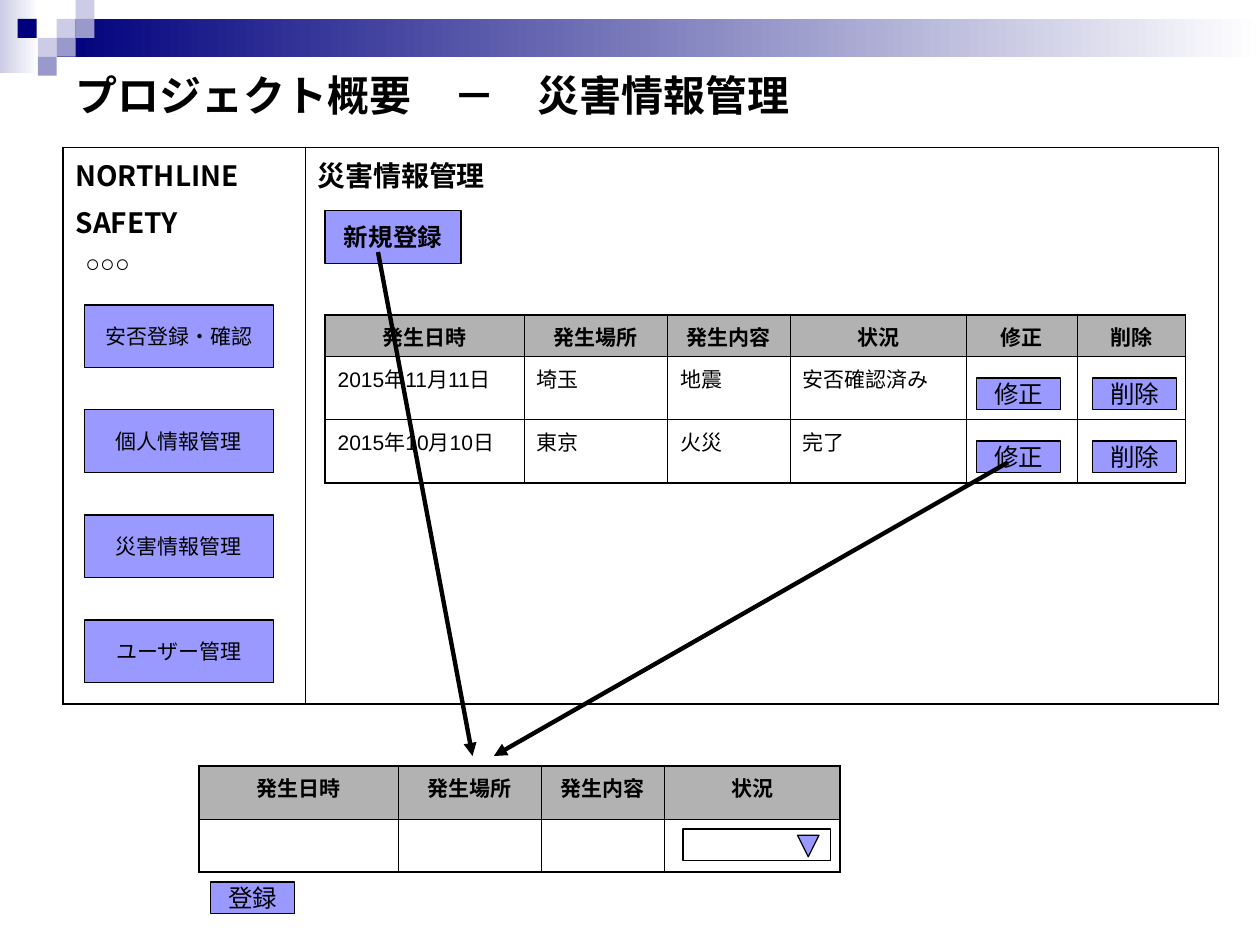
from typing import NamedTuple

from lxml import etree
from pptx import Presentation
from pptx.dml.color import RGBColor
from pptx.enum.shapes import MSO_CONNECTOR, MSO_SHAPE
from pptx.enum.text import MSO_ANCHOR, PP_ALIGN
from pptx.oxml.ns import qn
from pptx.util import Inches, Pt

RECT, MERGE = MSO_SHAPE.RECTANGLE, MSO_SHAPE.FLOWCHART_MERGE
STRAIGHT = MSO_CONNECTOR.STRAIGHT
LEFT, CENTER = PP_ALIGN.LEFT, PP_ALIGN.CENTER
TOP, MIDDLE = MSO_ANCHOR.TOP, MSO_ANCHOR.MIDDLE

BLACK, WHITE, GRAY = "000000", "FFFFFF", "B2B2B2"
BUTTON_FILL, NAVY, LILAC, MAUVE = "9999FF", "00007D", "CCCCE6", "9999CC"
LATIN, JAPANESE = "Arial", "Noto Sans CJK JP"
OUTER, INNER = 1.08, 0.45


class Box(NamedTuple):
    left: float
    top: float
    width: float
    height: float

    def lengths(self):
        return [Inches(value) for value in self]


class Button(NamedTuple):
    label: str
    box: Box
    size: int = 14
    bold: bool = False


class Arrow(NamedTuple):
    start: tuple[float, float]
    end: tuple[float, float]


def rgb(color: str) -> RGBColor:
    return RGBColor.from_string(color)


def write(frame, text: str, *, size: int, bold=False, align=LEFT, anchor=TOP,
          before: float = 0, font=LATIN, wrap=True) -> None:
    frame.word_wrap = wrap
    frame.vertical_anchor = anchor
    for number, line in enumerate(text.split("\n")):
        paragraph = frame.add_paragraph() if number else frame.paragraphs[0]
        paragraph.alignment = align
        paragraph.space_before = Pt(before)
        run = paragraph.add_run()
        run.text = line
        run.font.size, run.font.bold, run.font.name = Pt(size), bold, font
        run.font.color.rgb = rgb(BLACK)
        east_asian = etree.SubElement(run.font._element, qn("a:ea"))
        east_asian.set("typeface", JAPANESE)


def add_text(slide, text: str, box: Box, **text_format) -> None:
    write(slide.shapes.add_textbox(*box.lengths()).text_frame, text, **text_format)


def add_block(slide, box: Box, fill: str, *, kind=RECT, outlined=True):
    block = slide.shapes.add_shape(kind, *box.lengths())
    block.shadow.inherit = False
    block.fill.solid()
    block.fill.fore_color.rgb = rgb(fill)
    if outlined:
        block.line.color.rgb = rgb(BLACK)
        block.line.width = Pt(0.75)
    else:
        block.line.fill.background()
    return block


def add_gradient(slide, box: Box, color: str) -> None:
    block = add_block(slide, box, color, outlined=False)
    block.fill.gradient()
    block.fill.gradient_angle = 180
    for stop, stop_color in zip(block.fill.gradient_stops, (WHITE, color)):
        stop.color.rgb = rgb(stop_color)


def add_button(slide, button: Button) -> None:
    block = add_block(slide, button.box, BUTTON_FILL)
    write(block.text_frame, button.label, size=button.size, bold=button.bold,
          align=CENTER, anchor=MIDDLE, wrap=False)


def set_borders(cell, widths: dict[str, float]) -> None:
    properties = cell._tc.get_or_add_tcPr()
    for position, (side, width) in enumerate(widths.items()):
        border = etree.Element(qn(f"a:ln{side}"), w=str(Pt(width)))
        fill = etree.SubElement(border, qn("a:solidFill"))
        etree.SubElement(fill, qn("a:srgbClr"), val=BLACK)
        properties.insert(position, border)


def add_grid(slide, left: float, top: float, columns: list[float],
             heights: list[float]):
    """Add an unstyled table with a heavier outer border."""
    box = Box(left, top, sum(columns), sum(heights))
    table = slide.shapes.add_table(len(heights), len(columns), *box.lengths()).table
    table.first_row = table.horz_banding = False
    for column, width in zip(table.columns, columns):
        column.width = Inches(width)
    last_row, last_column = len(heights) - 1, len(columns) - 1
    for r, height in enumerate(heights):
        table.rows[r].height = Inches(height)
        for c in range(len(columns)):
            cell = table.cell(r, c)
            cell.fill.background()
            set_borders(cell, {
                "L": INNER if c else OUTER,
                "R": OUTER if c == last_column else INNER,
                "T": INNER if r else OUTER,
                "B": OUTER if r == last_row else INNER,
            })
    return table


def add_records(slide, left: float, top: float, columns: list[float],
                heights: list[float], rows: list[list[str]]) -> None:
    table = add_grid(slide, left, top, columns, heights)
    for r, row in enumerate(rows):
        for c, text in enumerate(row):
            cell = table.cell(r, c)
            cell.fill.solid()
            cell.fill.fore_color.rgb = rgb(WHITE if r else GRAY)
            if text:
                write(cell.text_frame, text, size=12, bold=r == 0, before=3,
                      align=LEFT if r else CENTER)


def add_arrow(slide, arrow: Arrow) -> None:
    ends = [Inches(value) for value in (*arrow.start, *arrow.end)]
    line = slide.shapes.add_connector(STRAIGHT, *ends)
    line.line.color.rgb = rgb(BLACK)
    line.line.width = Pt(2.5)
    etree.SubElement(line.line._get_or_add_ln(), qn("a:tailEnd"), type="triangle")
    etree.SubElement(line._element.spPr, qn("a:effectLst"))


def main() -> None:
    presentation = Presentation()
    presentation.slide_width, presentation.slide_height = Inches(10), Inches(7.5)
    slide = presentation.slides.add_slide(presentation.slide_layouts[6])

    # Header band and its mosaic of squares
    add_gradient(slide, Box(0, 0, 0.31, 0.58), LILAC)
    add_gradient(slide, Box(0.45, 0.15, 9.55, 0.3), NAVY)
    mosaic = [(0.45, 0.15, LILAC), (0.6, 0, LILAC), (0.6, 0.15, MAUVE),
              (0.3, 0.3, LILAC), (0.14, 0.15, NAVY), (0.45, 0.3, MAUVE),
              (0.3, 0.45, MAUVE)]
    for left, top, color in mosaic:
        add_block(slide, Box(left, top, 0.15, 0.15), color, outlined=False)

    add_text(slide, "プロジェクト概要　－　災害情報管理", Box(0.5, 0.5, 9, 0.5),
             size=24, bold=True, anchor=MIDDLE)

    # Application window: menu on the left, content on the right
    window = add_grid(slide, 0.5, 1.17, [1.92, 7.25], [4.42])
    for c, heading in enumerate(["NORTHLINE\nSAFETY", "災害情報管理"]):
        write(window.cell(0, c).text_frame, heading, size=16, bold=True,
              before=4, font=JAPANESE)
    add_text(slide, "○○○", Box(0.58, 1.92, 1.33, 0.34), size=14, before=8.8)
    menu = ["安否登録・確認", "個人情報管理", "災害情報管理", "ユーザー管理"]
    for number, label in enumerate(menu):
        add_button(slide, Button(label, Box(0.67, 2.42 + number * 2.5 / 3, 1.5, 0.5), 12))
    add_button(slide, Button("新規登録", Box(2.58, 1.67, 1.08, 0.42), bold=True))

    # Disaster list with its row buttons
    fields = ["発生日時", "発生場所", "発生内容", "状況"]
    field_widths = [1.58, 1.14, 0.97, 1.4]
    actions = {"修正": 7.75, "削除": 8.67}
    add_records(slide, 2.58, 2.5, field_widths + [0.88, 0.86], [0.33, 0.5, 0.5], [
        fields + list(actions),
        ["2015年11月11日", "埼玉", "地震", "安否確認済み", "", ""],
        ["2015年10月10日", "東京", "火災", "完了", "", ""],
    ])
    for action, left in actions.items():
        for top in (3, 3.5):
            add_button(slide, Button(action, Box(left, top, 0.67, 0.25)))

    # Entry form with a drop-down
    add_records(slide, 1.58, 6.08, field_widths, [0.42, 0.42],
                [fields, [""] * len(fields)])
    add_block(slide, Box(5.42, 6.58, 1.17, 0.25), WHITE)
    add_block(slide, Box(6.33, 6.63, 0.17, 0.17), BUTTON_FILL, kind=MERGE)
    add_button(slide, Button("登録", Box(1.67, 7, 0.67, 0.25)))

    # Arrows from the buttons to the form
    for arrow in (Arrow((3, 2), (3.75, 6)), Arrow((8, 3.67), (3.92, 6))):
        add_arrow(slide, arrow)

    presentation.save("out.pptx")


if __name__ == "__main__":
    main()
